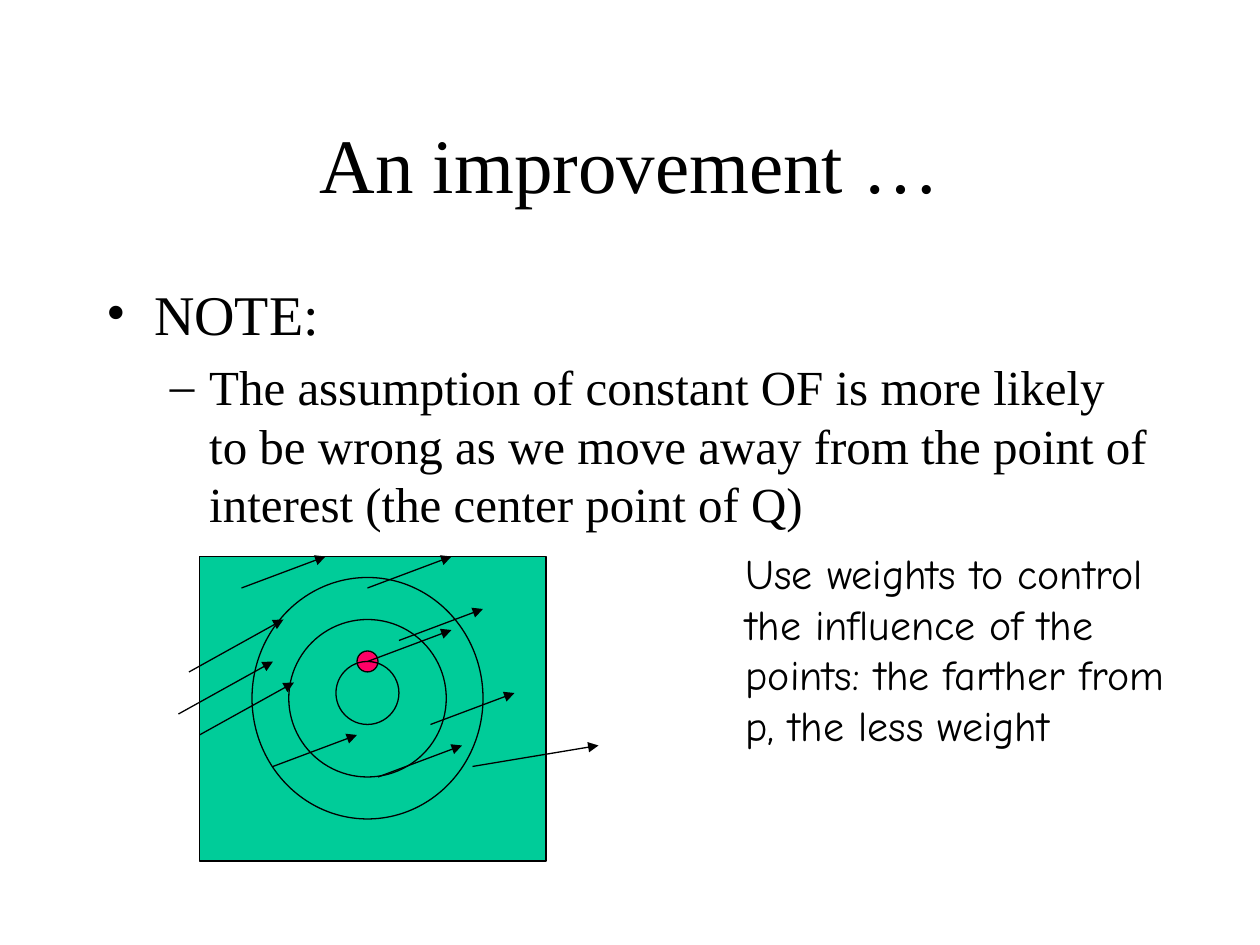
from dataclasses import dataclass

from lxml.etree import SubElement
from pptx import Presentation
from pptx.dml.color import RGBColor
from pptx.enum.shapes import MSO_CONNECTOR as Connector, MSO_SHAPE as Preset
from pptx.enum.text import MSO_ANCHOR as Anchor, PP_ALIGN as Align
from pptx.oxml.ns import qn
from pptx.util import Pt


@dataclass(frozen=True)
class Theme:
    """Colours, fonts, type sizes and line width of the slide."""
    ink: RGBColor = RGBColor(0, 0, 0)
    field: RGBColor = RGBColor(0x00, 0xCC, 0x99)
    point: RGBColor = RGBColor(0xFF, 0x00, 0x66)
    serif: str = "Times New Roman"
    hand: str = "Comic Neue"
    title: int = 44
    heading: int = 32
    detail: int = 28
    remark: int = 24
    stroke: float = 0.75


THEME = Theme()
RISING, STEEP, SHALLOW = (48, -18), (54, -30), (72, -12)
FLOW = [
    (210, 378, RISING), (228, 366, RISING), (138, 336, RISING),
    (246, 414, RISING), (216, 444, RISING), (270, 438, SHALLOW),
    (102, 408, STEEP), (156, 438, RISING), (210, 336, RISING),
    (114, 420, STEEP), (108, 384, STEEP),
]
RINGS = [(192, 378, 36, 36), (165, 354, 90, 90), (144, 330, 132, 138)]


def add_text_box(page, left, top, width, height, anchor=Anchor.TOP):
    """Add a wrapping text box and return its text frame."""
    box = page.shapes.add_textbox(Pt(left), Pt(top), Pt(width), Pt(height))
    frame = box.text_frame
    frame.word_wrap = True
    frame.vertical_anchor = anchor
    return frame


def add_span(para, text, size, font):
    """Add one run of text to a paragraph."""
    span = para.add_run()
    span.text = text
    span.font.size = Pt(size)
    span.font.name = font
    span.font.color.rgb = THEME.ink


def set_bullet(para, symbol, margin, hanging):
    """Give a paragraph a hanging bullet."""
    properties = para._p.get_or_add_pPr()
    properties.set("marL", str(Pt(margin)))
    properties.set("indent", str(-Pt(hanging)))
    SubElement(properties, qn("a:buFont")).set("typeface", THEME.serif)
    SubElement(properties, qn("a:buChar")).set("char", symbol)


def add_figure(page, preset, left, top, width, height, fill=None):
    """Add an outlined preset shape, hollow unless a fill is given."""
    shape = page.shapes.add_shape(preset, Pt(left), Pt(top), Pt(width), Pt(height))
    shape.shadow.inherit = False
    if fill is None:
        shape.fill.background()
    else:
        shape.fill.solid()
        shape.fill.fore_color.rgb = fill
    shape.line.color.rgb = THEME.ink
    shape.line.width = Pt(THEME.stroke)


def add_arrow(page, x, y, shift):
    """Add a flow vector that starts at x, y."""
    across, down = shift
    arrow = page.shapes.add_connector(
        Connector.STRAIGHT, Pt(x), Pt(y), Pt(x + across), Pt(y + down))
    arrow.line.color.rgb = THEME.ink
    arrow.line.width = Pt(THEME.stroke)
    SubElement(arrow.line._get_or_add_ln(), qn("a:tailEnd")).set("type", "triangle")
    SubElement(arrow._element.spPr, qn("a:effectLst"))


def add_title(page):
    """Add the centred slide title."""
    para = add_text_box(page, 54, 48, 612, 90, Anchor.MIDDLE).paragraphs[0]
    para.alignment = Align.CENTER
    add_span(para, "An improvement …", THEME.title, THEME.serif)


def add_note(page):
    """Add the bulleted note."""
    frame = add_text_box(page, 54, 156, 612, 324)
    heading = frame.paragraphs[0]
    set_bullet(heading, "•", 27, 27)
    add_span(heading, "NOTE:", THEME.heading, THEME.serif)
    detail = frame.add_paragraph()
    set_bullet(detail, "–", 58.5, 22.5)
    detail.space_before = Pt(THEME.detail * 0.2)
    add_span(detail, "The assumption of constant OF is more likely to be wrong as we "
             "move away from the point of interest (the center point of Q)",
             THEME.detail, THEME.serif)


def add_flow_field(page):
    """Add the window with its centre point, flow vectors and weight rings."""
    add_figure(page, Preset.RECTANGLE, 114, 318, 198, 174, THEME.field)
    add_figure(page, Preset.OVAL, 204, 372, 12, 12, THEME.point)
    for x, y, shift in FLOW:
        add_arrow(page, x, y, shift)
    for ring in RINGS:
        add_figure(page, Preset.OVAL, *ring)


def add_remark(page):
    """Add the remark on weights."""
    para = add_text_box(page, 419, 309.6, 277.2, 122.4).paragraphs[0]
    add_span(para, "Use weights to control the influence of the points: "
             "the farther from p, the less weight", THEME.remark, THEME.hand)


def main():
    """Build and save the slide."""
    deck = Presentation()
    deck.slide_width, deck.slide_height = Pt(720), Pt(540)
    page = deck.slides.add_slide(deck.slide_layouts[6])
    add_title(page)
    add_note(page)
    add_flow_field(page)
    add_remark(page)
    deck.save("out.pptx")


if __name__ == "__main__":
    main()
